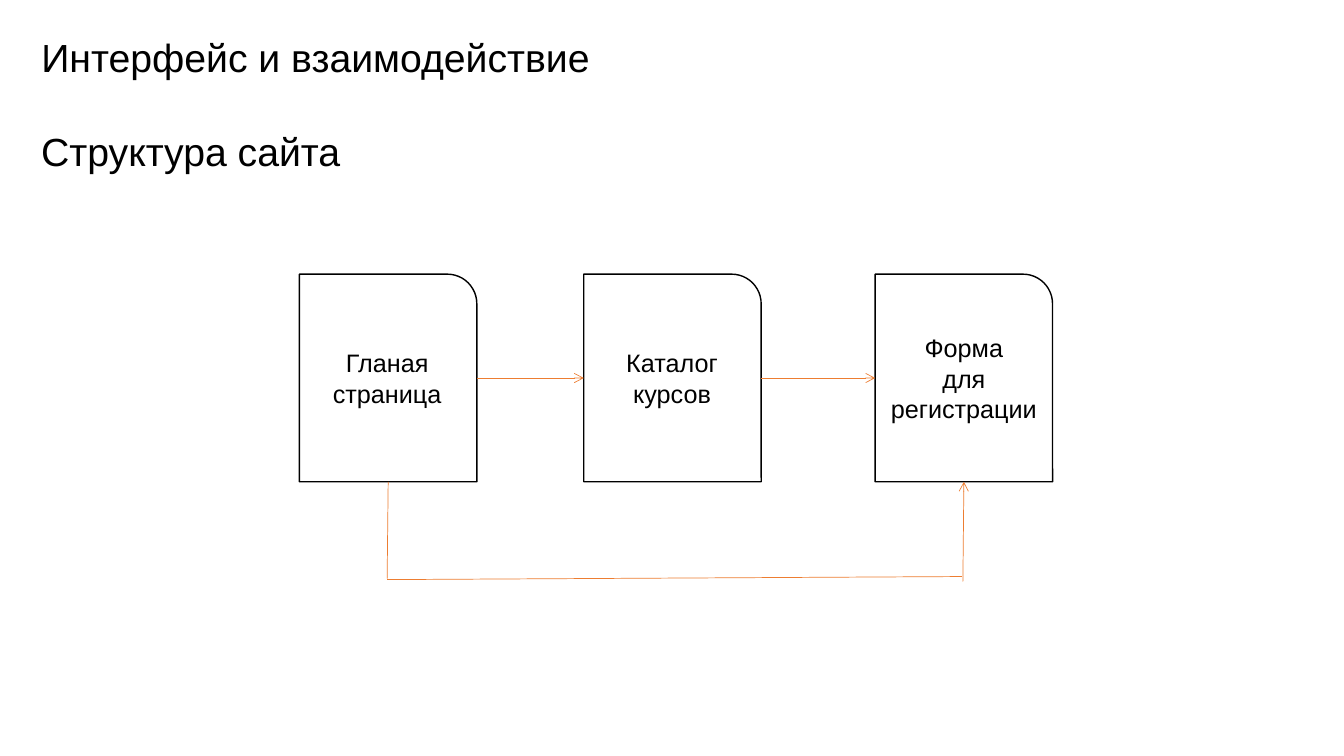
from dataclasses import dataclass
from typing import Optional

import lxml.etree
import pptx
import pptx.dml.color
import pptx.enum.shapes
import pptx.enum.text
import pptx.oxml.ns
import pptx.util

Inches = pptx.util.Inches
ALIGN = pptx.enum.text.PP_ALIGN
BOTTOM, LEFT, RIGHT = 2, 1, 3


@dataclass(frozen=True)
class Theme:
    font: str = "Arial"
    ink: str = "000000"
    paper: str = "FFFFFF"
    accent: str = "ED7D31"
    heading_size: float = 28
    label_size: float = 18
    outline: float = 1
    arrow: float = 0.5


@dataclass(frozen=True)
class SitePage:
    left: float
    label: tuple[str, ...]
    label_left: float
    label_top: float
    label_width: float
    label_height: float
    wrap: bool = False


@dataclass(frozen=True)
class Joint:
    page: int
    side: int


@dataclass(frozen=True)
class Link:
    start: tuple[float, float]
    end: tuple[float, float]
    begin_joint: Optional[Joint] = None
    end_joint: Optional[Joint] = None
    arrow: bool = False


THEME = Theme()
PAGE_TOP, PAGE_WIDTH, PAGE_HEIGHT = 2.72, 1.76, 2.06
SITE_PAGES = (
    SitePage(2.97, ("Гланая", "страница"), 3.2, 3.4, 1.28, 0.71),
    SitePage(5.79, ("Каталог", "курсов"), 6.11, 3.4, 1.11, 0.71),
    SitePage(8.68, ("Форма", "для", "регистрации"), 8.68, 3.25, 1.76, 1.01, True),
)
LINKS = (
    Link((4.73, 3.75), (5.79, 3.75), Joint(0, RIGHT), Joint(1, LEFT), True),
    Link((7.55, 3.75), (8.68, 3.75), Joint(1, RIGHT), Joint(2, LEFT), True),
    Link((3.84, 4.78), (3.84, 5.74), begin_joint=Joint(0, BOTTOM)),
    Link((3.84, 5.75), (9.54, 5.72)),
    Link((9.55, 5.77), (9.56, 4.78), end_joint=Joint(2, BOTTOM), arrow=True),
)


def color(value: str) -> pptx.dml.color.RGBColor:
    return pptx.dml.color.RGBColor.from_string(value)


def place(shape, left: float, top: float, width: float, height: float) -> None:
    bounds = {"left": left, "top": top, "width": width, "height": height}
    for name, value in bounds.items():
        setattr(shape, name, Inches(value))


def write(shape, lines: tuple[str, ...], size: float, alignment, wrap: bool = False) -> None:
    frame = shape.text_frame
    frame_format = {
        "word_wrap": wrap,
        "auto_size": pptx.enum.text.MSO_AUTO_SIZE.SHAPE_TO_FIT_TEXT,
        "vertical_anchor": pptx.enum.text.MSO_ANCHOR.TOP,
    }
    for name, value in frame_format.items():
        setattr(frame, name, value)
    font_format = {"name": THEME.font, "size": pptx.util.Pt(size)}
    for index, line in enumerate(lines):
        para = frame.add_paragraph() if index else frame.paragraphs[0]
        para.alignment = alignment
        span = para.add_run()
        span.text = line
        for name, value in font_format.items():
            setattr(span.font, name, value)
        span.font.color.rgb = color(THEME.ink)


def add_page(slide, page: SitePage):
    box = slide.shapes.add_shape(
        pptx.enum.shapes.MSO_SHAPE.ROUND_1_RECTANGLE,
        Inches(page.left), Inches(PAGE_TOP), Inches(PAGE_WIDTH), Inches(PAGE_HEIGHT),
    )
    box.shadow.inherit = False
    box.fill.solid()
    box.fill.fore_color.rgb = color(THEME.paper)
    box.line.color.rgb = color(THEME.ink)
    box.line.width = pptx.util.Pt(THEME.outline)
    return box


def add_label(slide, page: SitePage) -> None:
    label = slide.shapes.add_textbox(0, 0, 0, 0)
    place(label, page.label_left, page.label_top, page.label_width, page.label_height)
    write(label, page.label, THEME.label_size, ALIGN.CENTER, page.wrap)


def add_link(slide, link: Link, boxes: list) -> None:
    line = slide.shapes.add_connector(
        pptx.enum.shapes.MSO_CONNECTOR.STRAIGHT,
        *(Inches(value) for value in link.start + link.end),
    )
    if link.begin_joint:
        line.begin_connect(boxes[link.begin_joint.page], link.begin_joint.side)
    if link.end_joint:
        line.end_connect(boxes[link.end_joint.page], link.end_joint.side)
    line.line.color.rgb = color(THEME.accent)
    line.line.width = pptx.util.Pt(THEME.arrow)
    qn = pptx.oxml.ns.qn
    properties = line._element.spPr
    if link.arrow:
        outline = properties.find(qn("a:ln"))
        lxml.etree.SubElement(outline, qn("a:tailEnd"), type="arrow")
    lxml.etree.SubElement(properties, qn("a:effectLst"))


def main() -> None:
    deck = pptx.Presentation()
    deck.slide_width, deck.slide_height = Inches(13.33), Inches(7.5)
    slide = deck.slides.add_slide(deck.slide_layouts.get_by_name("Title Only"))

    title = slide.shapes.title
    place(title, 0.31, 0.28, 5.64, 0.57)
    write(title, ("Интерфейс и взаимодействие",), THEME.heading_size, ALIGN.LEFT)

    boxes = [add_page(slide, page) for page in SITE_PAGES]
    for page in SITE_PAGES:
        add_label(slide, page)
    for link in LINKS:
        add_link(slide, link, boxes)

    subtitle = slide.shapes.add_textbox(0, 0, 0, 0)
    place(subtitle, 0.31, 1.21, 3.17, 0.57)
    write(subtitle, ("Структура сайта",), THEME.heading_size, ALIGN.LEFT)

    deck.save("out.pptx")


if __name__ == "__main__":
    main()
